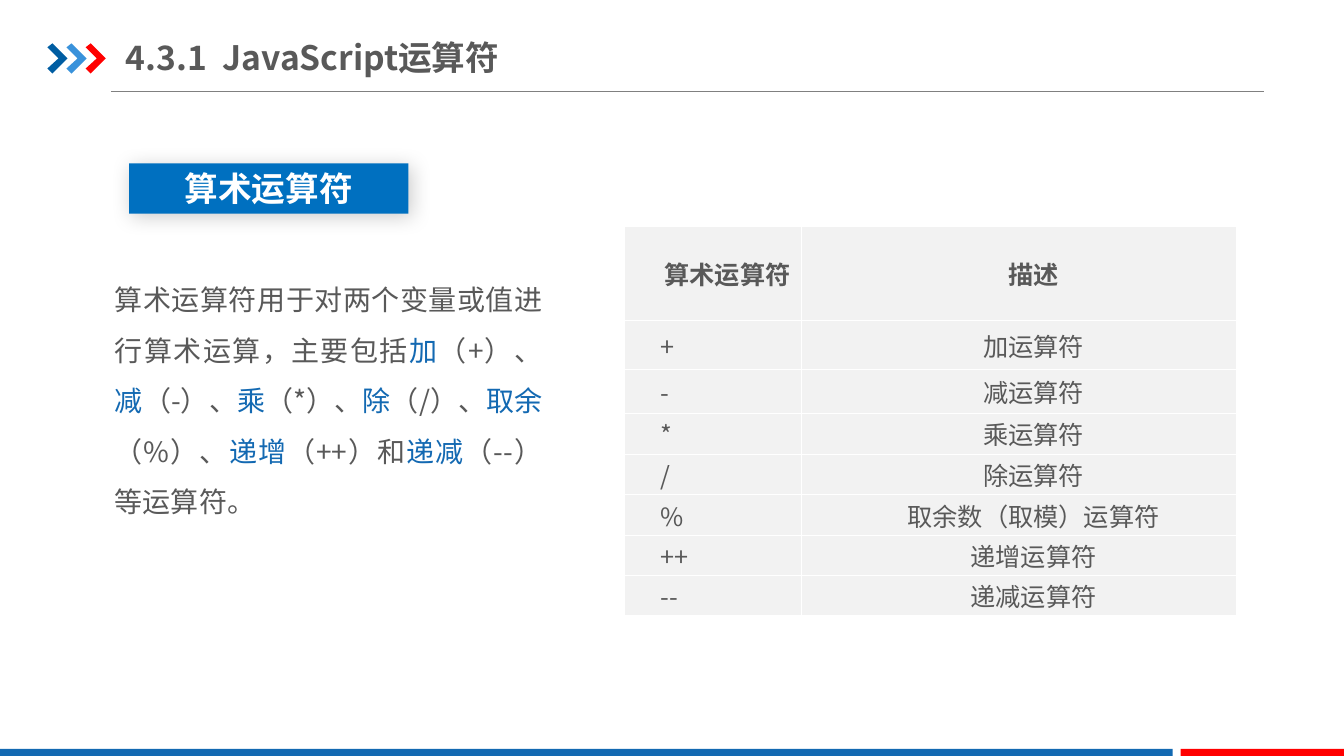
from typing import NamedTuple

from lxml.etree import SubElement
from pptx import Presentation
from pptx.dml.color import RGBColor
from pptx.enum.shapes import MSO_CONNECTOR, MSO_SHAPE
from pptx.enum.text import MSO_ANCHOR as Anchor, PP_ALIGN as Align
from pptx.oxml import parse_xml
from pptx.oxml.ns import nsdecls, qn
from pptx.util import Inches, Pt

FONT = "Noto Sans CJK SC"
GREY, BLUE, RED, WHITE = "595959", "1369B2", "FF0000", "FFFFFF"


class Box(NamedTuple):
    left: float
    top: float
    width: float
    height: float

    def emu(self) -> list[int]:
        return [Inches(length) for length in self]


class Bar(NamedTuple):
    box: Box
    color: str


class Chevron(NamedTuple):
    left: float
    color: str


class Operator(NamedTuple):
    symbol: str
    description: str
    row_height: float


CHEVRONS = [Chevron(0.47, "005DA2"), Chevron(0.66, "3992DB"), Chevron(0.85, RED)]
CHEVRON_OUTLINE = [(0, 0.47), (0.05, 0.43), (0.2, 0.58), (0.05, 0.73), (0, 0.68), (0.11, 0.58)]
FOOTER_BARS = [Bar(Box(0, 7.43, 11.63, 0.09), BLUE), Bar(Box(11.71, 7.43, 1.63, 0.09), RED)]

# Parts between bars are highlighted
INTRODUCTION = (
    "算术运算符用于对两个变量或值进行算术运算，主要包括|加|（+）、|减|（-）、|乘|（*）、"
    "|除|（/）、|取余|（%）、|递增|（++）和|递减|（--）等运算符。"
)

# The first entry is the table header
OPERATORS = [
    Operator("算术运算符", "描述", 0.93),
    Operator("+", "加运算符", 0.49),
    Operator("-", "减运算符", 0.43),
    Operator("*", "乘运算符", 0.41),
    Operator("/", "除运算符", 0.4),
    Operator("%", "取余数（取模）运算符", 0.4),
    Operator("++", "递增运算符", 0.4),
    Operator("--", "递减运算符", 0.4),
]
COLUMN_WIDTHS = [1.76, 4.31]


def rgb(color: str) -> RGBColor:
    return RGBColor.from_string(color)


def format_run(run, size: float, color: str, bold: bool = False) -> None:
    run.font.size, run.font.bold, run.font.name = Pt(size), bold, FONT
    run.font.color.rgb = rgb(color)
    SubElement(run.font._element, qn("a:ea")).set("typeface", FONT)


def set_margins(frame, horizontal: float, vertical: float) -> None:
    frame.margin_left = frame.margin_right = Inches(horizontal)
    frame.margin_top = frame.margin_bottom = Inches(vertical)


def paint(shape, color: str) -> None:
    shape.shadow.inherit = False
    shape.fill.solid()
    shape.fill.fore_color.rgb = rgb(color)
    shape.line.fill.background()


def draw_bar(slide, bar: Bar):
    rectangle = slide.shapes.add_shape(MSO_SHAPE.RECTANGLE, *bar.box.emu())
    paint(rectangle, bar.color)
    return rectangle


def draw_chevron(slide, chevron: Chevron) -> None:
    points = [(Inches(chevron.left + x), Inches(y)) for x, y in CHEVRON_OUTLINE]
    builder = slide.shapes.build_freeform(*points[0])
    builder.add_line_segments(points[1:], close=True)
    paint(builder.convert_to_shape(), chevron.color)


def draw_header_rule(slide) -> None:
    rule = slide.shapes.add_connector(
        MSO_CONNECTOR.STRAIGHT, Inches(1.1), Inches(0.91), Inches(12.54), Inches(0.91))
    rule.line.color.rgb = rgb("808080")
    rule.line.width = Pt(0.75)
    SubElement(rule._element.spPr, qn("a:effectLst"))


def draw_title(slide, text: str) -> None:
    frame = slide.shapes.add_textbox(*Box(1.25, 0.29, 4.26, 0.55).emu()).text_frame
    frame.word_wrap, frame.vertical_anchor = True, Anchor.MIDDLE
    set_margins(frame, 0, 0.07)
    frame.text = text
    format_run(frame.paragraphs[0].runs[0], 24, GREY, bold=True)


def draw_topic(slide, text: str) -> None:
    topic = draw_bar(slide, Bar(Box(1.28, 1.62, 2.77, 0.5), "0070C0"))
    effects = topic._element.spPr.find(qn("a:effectLst"))
    effects.append(parse_xml(
        f'<a:outerShdw {nsdecls("a")} blurRad="{Pt(15)}" dist="{Pt(3)}" dir="2700000"'
        ' algn="tl" rotWithShape="0"><a:srgbClr val="000000"><a:alpha val="20000"/>'
        '</a:srgbClr></a:outerShdw>'))
    frame = topic.text_frame
    frame.vertical_anchor = Anchor.MIDDLE
    frame.text = text
    frame.paragraphs[0].alignment = Align.CENTER
    format_run(frame.paragraphs[0].runs[0], 24, WHITE, bold=True)


def draw_introduction(slide, marked_text: str) -> None:
    frame = slide.shapes.add_textbox(*Box(1.01, 2.57, 4.5, 2.66).emu()).text_frame
    frame.word_wrap = True
    set_margins(frame, 0.13, 0.07)
    paragraph = frame.paragraphs[0]
    paragraph.alignment, paragraph.line_spacing = Align.JUSTIFY, 1.5
    for index, part in enumerate(marked_text.split("|")):
        run = paragraph.add_run()
        run.text = part
        format_run(run, 20, BLUE if index % 2 else GREY)


def fill_cell(cell, text: str, centred: bool, bold: bool) -> None:
    cell.fill.solid()
    cell.fill.fore_color.rgb = rgb("F2F2F2")
    cell.vertical_anchor = Anchor.MIDDLE
    set_margins(cell, 0.07, 0)
    cell.text = text
    paragraph = cell.text_frame.paragraphs[0]
    paragraph.alignment = Align.CENTER if centred else Align.LEFT
    paragraph._p.get_or_add_pPr().set("indent", str(Inches(0.29)))
    format_run(paragraph.runs[0], 18, GREY, bold)
    # Borders come before the fill
    for position, side in enumerate(("lnL", "lnR", "lnT", "lnB")):
        cell._tc.get_or_add_tcPr().insert(position, parse_xml(
            f'<a:{side} {nsdecls("a")} w="{Pt(1)}"><a:solidFill>'
            f'<a:srgbClr val="{WHITE}"/></a:solidFill></a:{side}>'))


def draw_operator_table(slide, operators: list[Operator]) -> None:
    box = Box(6.19, 2.25, sum(COLUMN_WIDTHS), sum(o.row_height for o in operators))
    table = slide.shapes.add_table(len(operators), len(COLUMN_WIDTHS), *box.emu()).table
    for column, width in zip(table.columns, COLUMN_WIDTHS):
        column.width = Inches(width)
    for index, (row, operator) in enumerate(zip(table.rows, operators)):
        row.height = Inches(operator.row_height)
        header = index == 0
        fill_cell(row.cells[0], operator.symbol, centred=header, bold=header)
        fill_cell(row.cells[1], operator.description, centred=True, bold=header)


def main() -> None:
    deck = Presentation()
    deck.slide_width, deck.slide_height = Inches(13.33), Inches(7.5)
    slide = deck.slides.add_slide(deck.slide_layouts[6])

    # Header and footer decoration
    draw_header_rule(slide)
    for chevron in CHEVRONS:
        draw_chevron(slide, chevron)
    for bar in FOOTER_BARS:
        draw_bar(slide, bar)

    # Content
    draw_title(slide, "4.3.1  JavaScript运算符")
    draw_topic(slide, "算术运算符")
    draw_introduction(slide, INTRODUCTION)
    draw_operator_table(slide, OPERATORS)
    deck.save("out.pptx")


if __name__ == "__main__":
    main()
